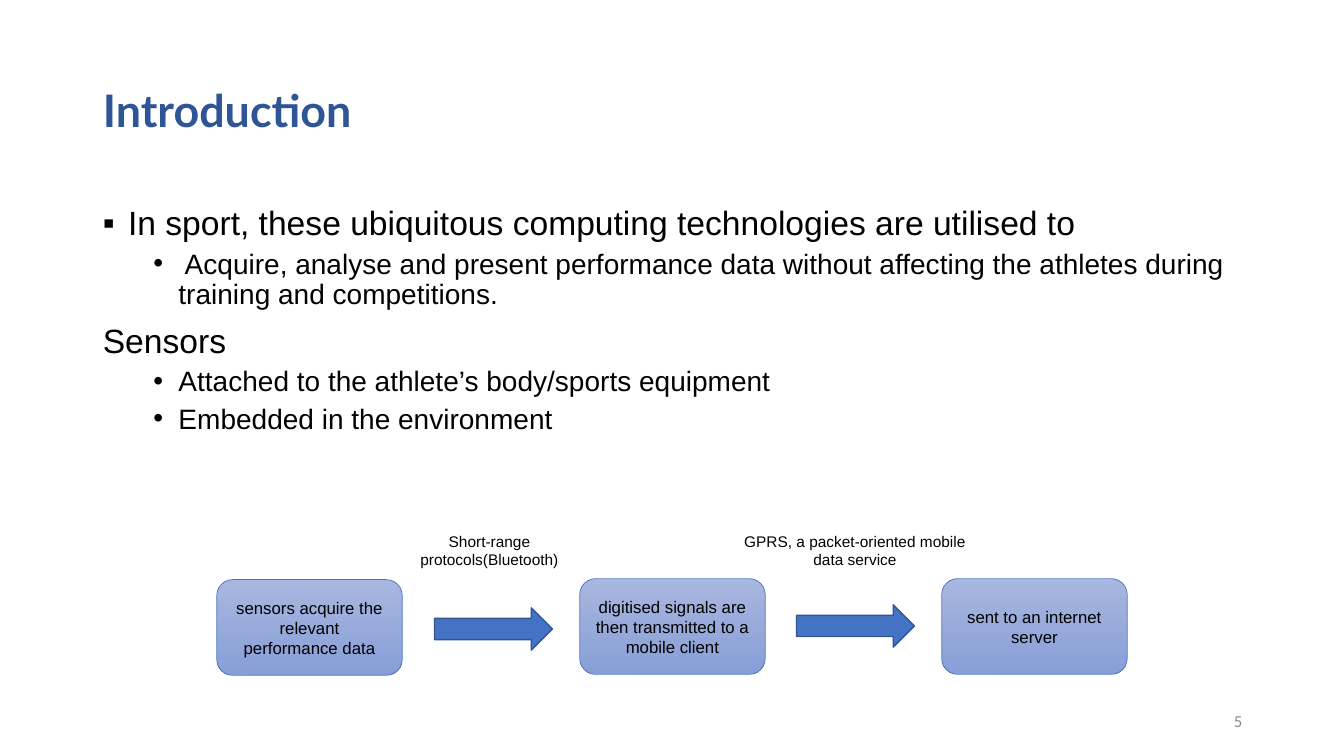
from dataclasses import dataclass

from lxml import etree
from pptx import Presentation
from pptx.dml.color import RGBColor
from pptx.enum.shapes import MSO_SHAPE
from pptx.enum.text import MSO_ANCHOR, MSO_AUTO_SIZE, PP_ALIGN
from pptx.oxml.ns import qn
from pptx.util import Inches, Pt

ROUND, ARROW = MSO_SHAPE.ROUNDED_RECTANGLE, MSO_SHAPE.RIGHT_ARROW
LEFT, CENTER, RIGHT = PP_ALIGN.LEFT, PP_ALIGN.CENTER, PP_ALIGN.RIGHT
TOP, MIDDLE = MSO_ANCHOR.TOP, MSO_ANCHOR.MIDDLE
FIXED = MSO_AUTO_SIZE.NONE

BLACK = RGBColor(0x00, 0x00, 0x00)
GREY = RGBColor(0x8C, 0x8C, 0x8C)
NAVY = RGBColor(0x2F, 0x55, 0x97)
BLUE = RGBColor(0x44, 0x72, 0xC4)
EDGE = RGBColor(0x32, 0x54, 0x91)
PALE = RGBColor(0xA8, 0xB7, 0xDF)
DEEP = RGBColor(0x88, 0x9E, 0xD7)


@dataclass
class Box:
    left: float
    top: float
    width: float
    height: float

    def place(self) -> tuple:
        return tuple(map(Inches, (self.left, self.top, self.width, self.height)))


@dataclass
class Point:
    text: str
    level: int = 0
    mark: str = ""


@dataclass
class Label:
    text: str
    box: Box
    size: int = 11
    font: str = "Arial"
    color: RGBColor = BLACK
    align: PP_ALIGN = CENTER
    anchor: MSO_ANCHOR = TOP


POINTS = [
    Point("In sport, these ubiquitous computing technologies are utilised to", 0, "▪"),
    Point(" Acquire, analyse and present performance data without affecting "
          "the athletes during training and competitions.", 1, "•"),
    Point("Sensors"),
    Point("Attached to the athlete’s body/sports equipment", 1, "•"),
    Point("Embedded in the environment", 1, "•"),
]
STAGES = [
    Label("sensors acquire the relevant performance data", Box(2.15, 5.75, 1.84, 0.95), 12),
    Label("digitised signals are then transmitted to a mobile client",
          Box(5.75, 5.74, 1.84, 0.95), 12),
    Label("sent to an internet\nserver", Box(9.34, 5.74, 1.84, 0.95), 12),
]
ARROWS = [Box(4.31, 6.03, 1.17, 0.42), Box(7.9, 6, 1.17, 0.42)]
LABELS = [
    Label("Short-range protocols(Bluetooth)", Box(4.03, 5.23, 1.65, 0.67)),
    Label("GPRS, a packet-oriented mobile data service", Box(7.22, 5.23, 2.52, 0.47)),
    Label("5", Box(9.42, 6.95, 3, 0.4), 12, "Calibri", GREY, RIGHT, MIDDLE),
]


def style(par, size: int, font: str, color: RGBColor, bold: bool = False) -> None:
    for run in par.runs:
        run.font.size = Pt(size)
        run.font.name = font
        run.font.color.rgb = color
        run.font.bold = bold


def move(shape, box: Box) -> None:
    shape.left, shape.top, shape.width, shape.height = box.place()


def write(shape, label: Label) -> None:
    frame = shape.text_frame
    frame.text = label.text
    frame.word_wrap = True
    frame.vertical_anchor = label.anchor
    for par in frame.paragraphs:
        par.alignment = label.align
        style(par, label.size, label.font, label.color)


def bullet(par, point: Point) -> None:
    """Set the indent and the bullet mark, or none."""
    props = par._p.get_or_add_pPr()
    hang = 0.25 if point.mark else 0
    props.set("marL", str(Inches(0.5 * point.level + hang)))
    props.set("indent", str(Inches(-hang)))
    if point.mark:
        etree.SubElement(props, qn("a:buFont")).set("typeface", "Arial")
        etree.SubElement(props, qn("a:buChar")).set("char", point.mark)
    else:
        etree.SubElement(props, qn("a:buNone"))


def head(shape) -> None:
    move(shape, Box(0.92, 0.4, 11.5, 1.45))
    frame = shape.text_frame
    frame.text = "Introduction"
    frame.auto_size = FIXED
    frame.vertical_anchor = MIDDLE
    par = frame.paragraphs[0]
    par.alignment = LEFT
    par.line_spacing = 0.9
    style(par, 32, "Lato", NAVY, True)


def body(shape) -> None:
    move(shape, Box(0.92, 2, 11.5, 2.93))
    frame = shape.text_frame
    frame.text = "\n".join(point.text for point in POINTS)
    frame.auto_size = FIXED
    for i, (par, point) in enumerate(zip(frame.paragraphs, POINTS)):
        par.level = point.level
        bullet(par, point)
        par.line_spacing = 0.9
        gap = 5 if point.level else 10
        par.space_before = Pt(gap if i else 0)
        style(par, 20 if point.level else 24, "Arial", BLACK)


def stage(slide, label: Label) -> None:
    shape = slide.shapes.add_shape(ROUND, *label.box.place())
    shape.shadow.inherit = False
    shape.fill.gradient()
    shape.fill.gradient_angle = 270
    for stop, color, spot in zip(shape.fill.gradient_stops, (PALE, DEEP), (0, 1)):
        stop.color.rgb = color
        stop.position = spot
    shape.line.color.rgb = BLUE
    shape.line.width = Pt(0.5)
    write(shape, label)
    shape.text_frame.vertical_anchor = MIDDLE


def arrow(slide, box: Box) -> None:
    shape = slide.shapes.add_shape(ARROW, *box.place())
    shape.shadow.inherit = False
    shape.fill.solid()
    shape.fill.fore_color.rgb = BLUE
    shape.line.color.rgb = EDGE
    shape.line.width = Pt(1)


def main() -> None:
    deck = Presentation()
    deck.slide_width, deck.slide_height = Inches(13.33), Inches(7.5)
    slide = deck.slides.add_slide(deck.slide_layouts[1])
    head(slide.shapes.title)
    body(slide.placeholders[1])
    for label in STAGES:
        stage(slide, label)
    for box in ARROWS:
        arrow(slide, box)
    for label in LABELS:
        write(slide.shapes.add_textbox(*label.box.place()), label)
    deck.save("out.pptx")


if __name__ == "__main__":
    main()
